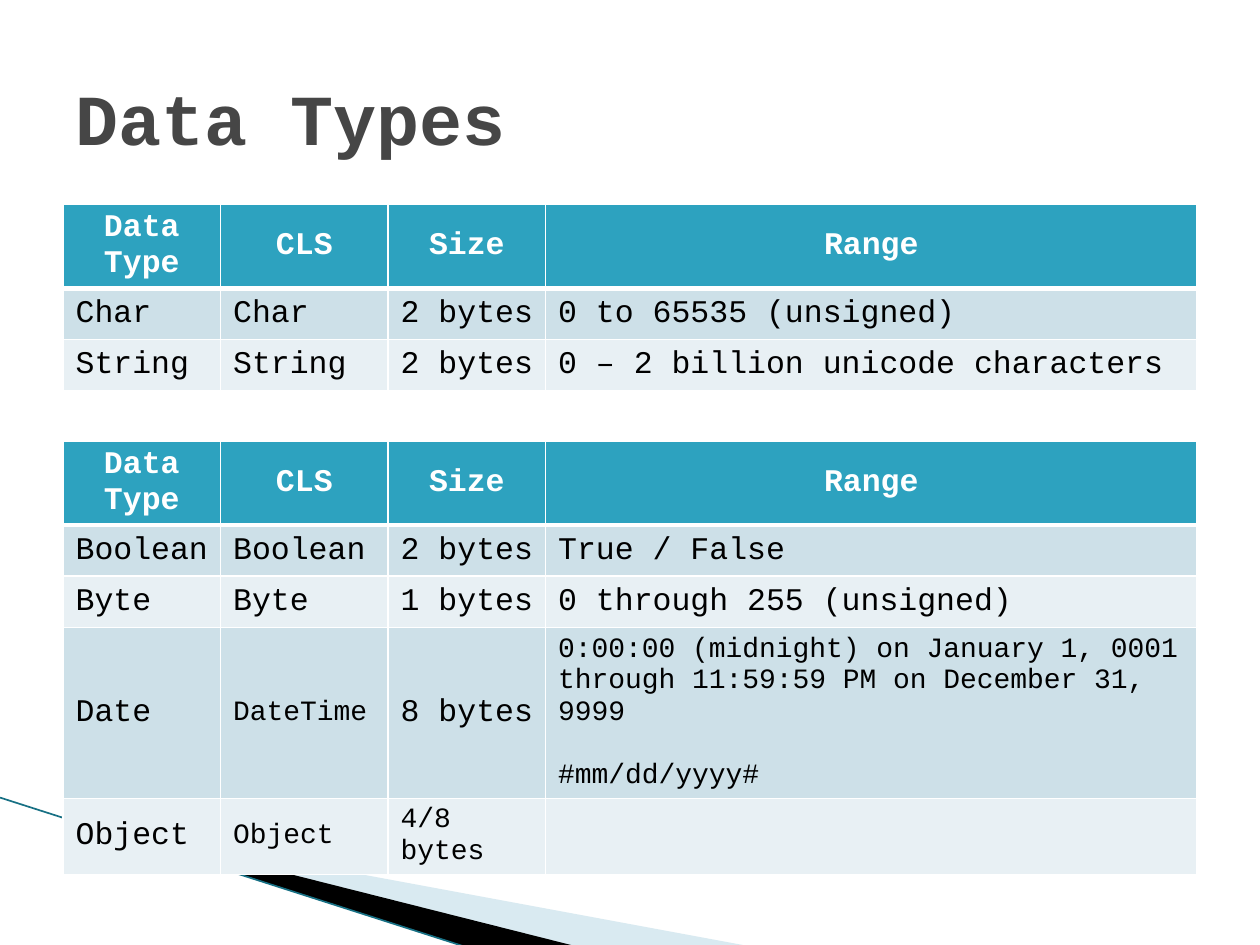
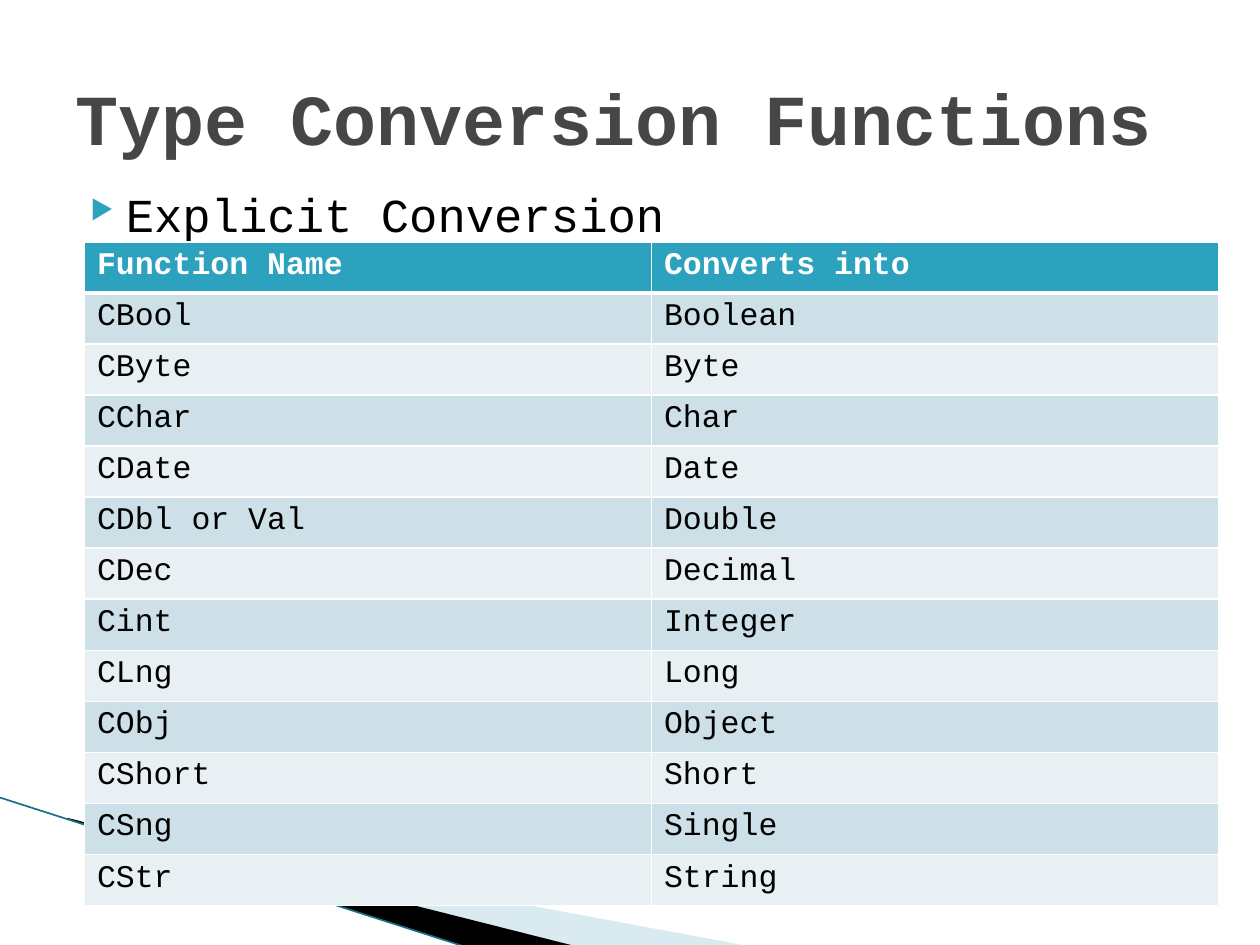
from lxml.etree import SubElement
from pptx import Presentation
from pptx.dml.color import RGBColor
from pptx.enum.shapes import MSO_CONNECTOR
from pptx.enum.text import MSO_ANCHOR, PP_ALIGN
from pptx.oxml.ns import qn
from pptx.util import Inches, Pt

FONT = "Courier New"
WHITE = RGBColor(0xFF, 0xFF, 0xFF)
BLACK = RGBColor(0x00, 0x00, 0x00)
TITLE_GREY = RGBColor(0x46, 0x46, 0x46)
ACCENT = RGBColor(0x2D, 0xA2, 0xBF)
DARK_ROW = RGBColor(0xCD, 0xE0, 0xE8)
LIGHT_ROW = RGBColor(0xE8, 0xF0, 0xF4)
PALE_BLUE = RGBColor(0xA0, 0xCB, 0xDC)
EDGE_TEAL = RGBColor(0x17, 0x70, 0x84)

TYPE_COLUMNS = [1.25, 1.33, 1.25, 5.17]
TYPE_HEADER = ["Data Type", "CLS", "Size", "Range"]
TEXT_TYPES = [
    TYPE_HEADER,
    ["Char", "Char", "2 bytes", "0 to 65535 (unsigned)"],
    ["String", "String", "2 bytes", "0 – 2 billion unicode characters"],
]
OTHER_TYPES = [
    TYPE_HEADER,
    ["Boolean", "Boolean", "2 bytes", "True / False"],
    ["Byte", "Byte", "1 bytes", "0 through 255 (unsigned)"],
    ["Date", "DateTime", "8 bytes",
     "0:00:00 (midnight) on January 1, 0001 through 11:59:59 PM "
     "on December 31, 9999\n#mm/dd/yyyy#"],
    ["Object", "Object", "4/8 bytes", ""],
]
SMALL_CELLS = {(3, 1), (3, 3), (4, 1), (4, 2)}
CONVERSIONS = [
    ["Function Name", "Converts into"],
    ["CBool", "Boolean"],
    ["CByte", "Byte"],
    ["CChar", "Char"],
    ["CDate", "Date"],
    ["CDbl or Val", "Double"],
    ["CDec", "Decimal"],
    ["Cint", "Integer"],
    ["CLng", "Long"],
    ["CObj", "Object"],
    ["CShort", "Short"],
    ["CSng", "Single"],
    ["CStr", "String"],
]


def write(frame, text, size=18, color=BLACK, bold=False,
          align=PP_ALIGN.LEFT, gap=18):
    frame.word_wrap = True
    for index, line in enumerate(text.split("\n")):
        paragraph = frame.add_paragraph() if index else frame.paragraphs[0]
        paragraph.alignment = align
        if index:
            paragraph.space_before = Pt(gap)
        run = paragraph.add_run()
        run.text = line
        run.font.name = FONT
        run.font.size = Pt(size)
        run.font.bold = bold
        run.font.color.rgb = color


def add_wedge(slide, points, left, top, color, opacity=100):
    start, *rest = [(Inches(left + x), Inches(top + y)) for x, y in points]
    builder = slide.shapes.build_freeform(*start)
    builder.add_line_segments(rest)
    wedge = builder.convert_to_shape()
    wedge.shadow.inherit = False
    wedge.line.fill.background()
    wedge.fill.solid()
    wedge.fill.fore_color.rgb = color
    if opacity < 100:
        tint = wedge.fill._xPr.find(".//" + qn("a:srgbClr"))
        SubElement(tint, qn("a:alpha"), val=str(opacity * 1000))


def add_corner_band(slide, left=0, top=6.33):
    add_wedge(slide, [(0.55, 0.18), (5.95, 1.18), (4.56, 1.18), (0.55, 0.17)],
              left, top, PALE_BLUE, opacity=40)
    add_wedge(slide, [(0.53, 0.16), (4.57, 1.18), (3.72, 1.19), (0.54, 0.17)],
              left, top, BLACK)
    edge = slide.shapes.add_connector(
        MSO_CONNECTOR.STRAIGHT, Inches(left), Inches(top),
        Inches(left + 3.71), Inches(top + 1.19))
    edge.line.color.rgb = EDGE_TEAL
    edge.line.width = Pt(0.95)
    SubElement(edge._element.spPr, qn("a:effectLst"))


def add_titled_slide(deck, title):
    slide = deck.slides.add_slide(deck.slide_layouts[5])
    heading = slide.shapes.title
    heading.left, heading.top = Inches(0.5), Inches(0.3)
    heading.width, heading.height = Inches(9), Inches(1.25)
    heading.text_frame.vertical_anchor = MSO_ANCHOR.MIDDLE
    write(heading.text_frame, title, size=41, color=TITLE_GREY, bold=True)
    add_corner_band(slide)
    return slide


def set_borders(cell, top, bottom):
    properties = cell._tc.get_or_add_tcPr()
    for side, width in zip("LRTB", (1, 1, top, bottom)):
        line = SubElement(properties, qn(f"a:ln{side}"), w=str(Pt(width)))
        fill = SubElement(line, qn("a:solidFill"))
        SubElement(fill, qn("a:srgbClr"), val=str(WHITE))


def add_grid(slide, rows, columns, left, top, height, small=(),
             header_align=PP_ALIGN.LEFT, anchor=MSO_ANCHOR.TOP):
    grid = slide.shapes.add_table(
        len(rows), len(columns), Inches(left), Inches(top),
        Inches(sum(columns)), Inches(height)).table
    for column, width in zip(grid.columns, columns):
        column.width = Inches(width)
    for r, values in enumerate(rows):
        is_header = r == 0
        for c, value in enumerate(values):
            cell = grid.cell(r, c)
            cell.vertical_anchor = anchor
            set_borders(cell, top=3 if r == 1 else 1,
                        bottom=3 if is_header else 1)
            cell.fill.solid()
            cell.fill.fore_color.rgb = (
                ACCENT if is_header else DARK_ROW if r % 2 else LIGHT_ROW)
            if value:
                write(cell.text_frame, value,
                      size=16 if (r, c) in small else 18,
                      color=WHITE if is_header else BLACK, bold=is_header,
                      align=header_align if is_header else PP_ALIGN.LEFT)


def add_bullet(slide, text, left, top, width, height):
    body = slide.shapes.add_textbox(
        Inches(left), Inches(top), Inches(width), Inches(height))
    write(body.text_frame, text, size=27)
    paragraph = body.text_frame.paragraphs[0]
    paragraph.space_before = Pt(4)
    properties = paragraph._p.get_or_add_pPr()
    properties.set("marL", str(Inches(0.4)))
    properties.set("indent", str(Inches(-0.28)))
    bullet_color = SubElement(properties, qn("a:buClr"))
    SubElement(bullet_color, qn("a:srgbClr"), val=str(ACCENT))
    SubElement(properties, qn("a:buSzPct"), val="56000")
    SubElement(properties, qn("a:buChar"), char="▶")


def add_data_types(deck):
    slide = add_titled_slide(deck, "Data Types")
    centred = {"header_align": PP_ALIGN.CENTER, "anchor": MSO_ANCHOR.MIDDLE}
    add_grid(slide, TEXT_TYPES, TYPE_COLUMNS, 0.5, 1.62, 1.22, **centred)
    add_grid(slide, OTHER_TYPES, TYPE_COLUMNS, 0.5, 3.5, 2.03,
             small=SMALL_CELLS, **centred)


def add_conversions(deck):
    slide = add_titled_slide(deck, "Type Conversion Functions")
    add_bullet(slide, "Explicit Conversion", 0.5, 1.42, 9, 4.95)
    add_grid(slide, CONVERSIONS, [4.5, 4.5], 0.67, 1.92, 5.27)


def main():
    deck = Presentation()
    deck.slide_width, deck.slide_height = Inches(10), Inches(7.5)
    add_data_types(deck)
    add_conversions(deck)
    deck.save("out.pptx")


if __name__ == "__main__":
    main()
